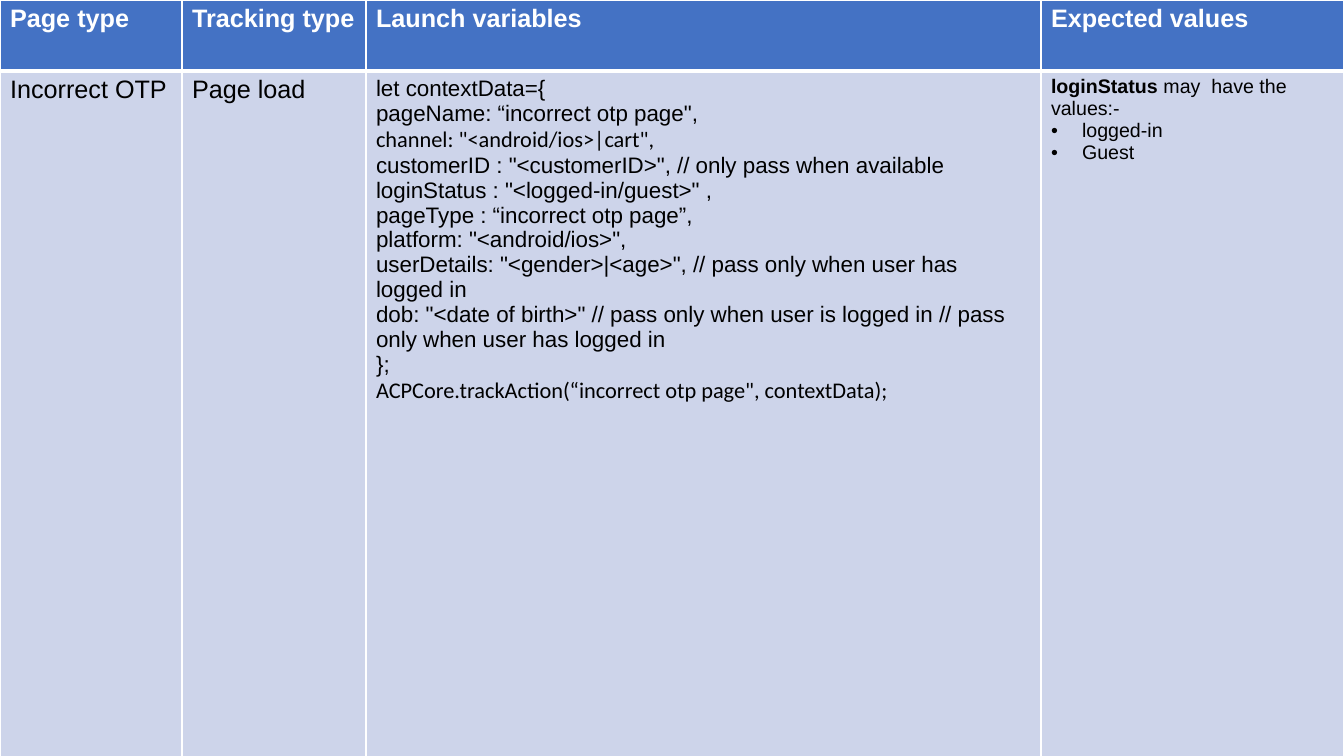
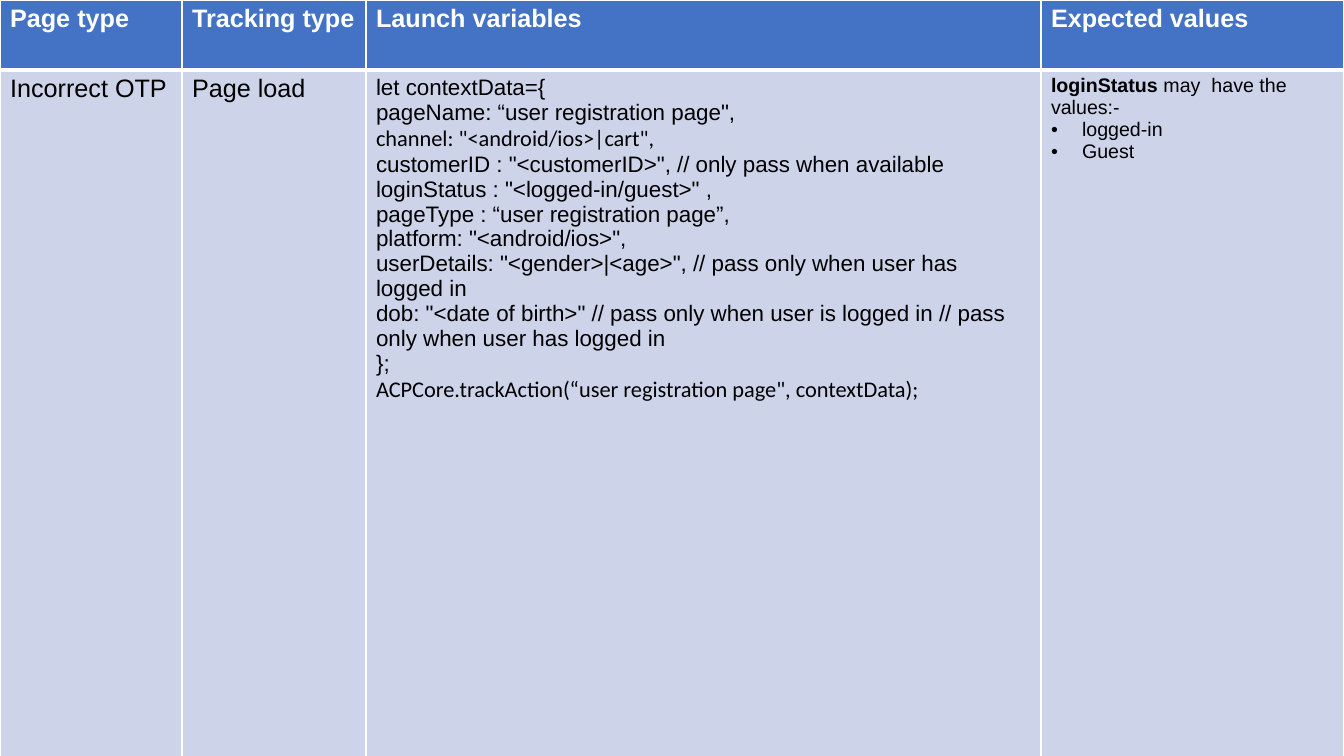
import lxml.etree
import pptx
import pptx.dml.color
import pptx.oxml.ns
import pptx.util

SLIDE_WIDTH, SLIDE_HEIGHT = 1344, 756
SCALE = 12192000 / SLIDE_WIDTH
COLORS = {"header": "4472C4", "body": "CDD4EA", "border": "FFFFFF",
          "header_text": "FFFFFF", "body_text": "000000"}
HEADINGS = ["Page type", "Tracking type", "Launch variables", "Expected values"]
COLUMN_WIDTHS = [182, 184, 675, 303]
BULLET_INDENT = 31
THIN, THICK = 1, 3


def px(length):
    return pptx.util.Emu(round(length * SCALE))


def rgb(name):
    return pptx.dml.color.RGBColor.from_string(COLORS[name])


def add_xml(parent, tag, **attributes):
    return lxml.etree.SubElement(parent, pptx.oxml.ns.qn(tag), attributes)


def write_text(paragraph, text, size=18, font="Arial", color="body_text", bold=False):
    run = paragraph.add_run()
    run.text = text
    run.font.size = pptx.util.Pt(size)
    run.font.name = font
    run.font.bold = bold
    run.font.color.rgb = rgb(color)


def next_paragraph(cell):
    first = cell.text_frame.paragraphs[0]
    return cell.text_frame.add_paragraph() if first.runs else first


def add_bullet(paragraph):
    properties = paragraph._p.get_or_add_pPr()
    properties.set("marL", str(px(BULLET_INDENT)))
    properties.set("indent", str(-px(BULLET_INDENT)))
    bullet_color = add_xml(properties, "a:buClr")
    add_xml(bullet_color, "a:srgbClr", val=COLORS["body_text"])
    add_xml(properties, "a:buFont", typeface="Arial")
    add_xml(properties, "a:buChar", char="•")


def style_cell(cell, fill, top=THIN, bottom=THIN):
    properties = cell._tc.get_or_add_tcPr()
    for side, width in (("L", THIN), ("R", THIN), ("T", top), ("B", bottom)):
        border = add_xml(properties, "a:ln" + side, w=str(pptx.util.Pt(width)))
        border_fill = add_xml(border, "a:solidFill")
        add_xml(border_fill, "a:srgbClr", val=COLORS["border"])
    cell.fill.solid()
    cell.fill.fore_color.rgb = rgb(fill)


def write_launch_variables(cell, page_name):
    lines = [
        ("let contextData={", "Arial"),
        (f'pageName: “{page_name}",', "Arial"),
        ('channel: "<android/ios>|cart",', "Calibri"),
        ('customerID : "<customerID>", // only pass when available', "Arial"),
        ('loginStatus : "<logged-in/guest>" ,', "Arial"),
        (f"pageType : “{page_name}”,", "Arial"),
        ('platform: "<android/ios>",', "Arial"),
        ('userDetails: "<gender>|<age>", // pass only when user has logged in', "Arial"),
        ('dob: "<date of birth>" // pass only when user is logged in'
         " // pass only when user has logged in", "Arial"),
        ("};", "Arial"),
        (f'ACPCore.trackAction(“{page_name}", contextData);', "Calibri"),
    ]
    for line, font in lines:
        write_text(next_paragraph(cell), line, size=16, font=font)


def write_expected_values(cell):
    intro = next_paragraph(cell)
    write_text(intro, "loginStatus ", size=14, bold=True)
    write_text(intro, "may  have the values:-", size=14)
    for value in ("logged-in", "Guest"):
        item = next_paragraph(cell)
        add_bullet(item)
        write_text(item, value, size=14)


def add_tracking_slide(presentation, page_name, row_heights):
    slide = presentation.slides.add_slide(presentation.slide_layouts[6])
    tracking = slide.shapes.add_table(
        2, len(HEADINGS), 0, 0, px(SLIDE_WIDTH), px(sum(row_heights))).table
    tracking.horz_banding = False
    for column, width in zip(tracking.columns, COLUMN_WIDTHS):
        column.width = px(width)
    for row, height in zip(tracking.rows, row_heights):
        row.height = px(height)
    header, body = (row.cells for row in tracking.rows)
    for cell, heading in zip(header, HEADINGS):
        style_cell(cell, "header", bottom=THICK)
        write_text(next_paragraph(cell), heading, color="header_text", bold=True)
    page_type, tracking_type, launch_variables, expected_values = body
    for cell in body:
        style_cell(cell, "body", top=THICK)
    write_text(next_paragraph(page_type), "Incorrect OTP")
    write_text(next_paragraph(tracking_type), "Page load")
    write_launch_variables(launch_variables, page_name)
    write_expected_values(expected_values)


def main():
    presentation = pptx.Presentation()
    presentation.slide_width = px(SLIDE_WIDTH)
    presentation.slide_height = px(SLIDE_HEIGHT)
    add_tracking_slide(presentation, "incorrect otp page", [71, 704])
    add_tracking_slide(presentation, "user registration page", [70, 691])
    presentation.save("out.pptx")


if __name__ == "__main__":
    main()
